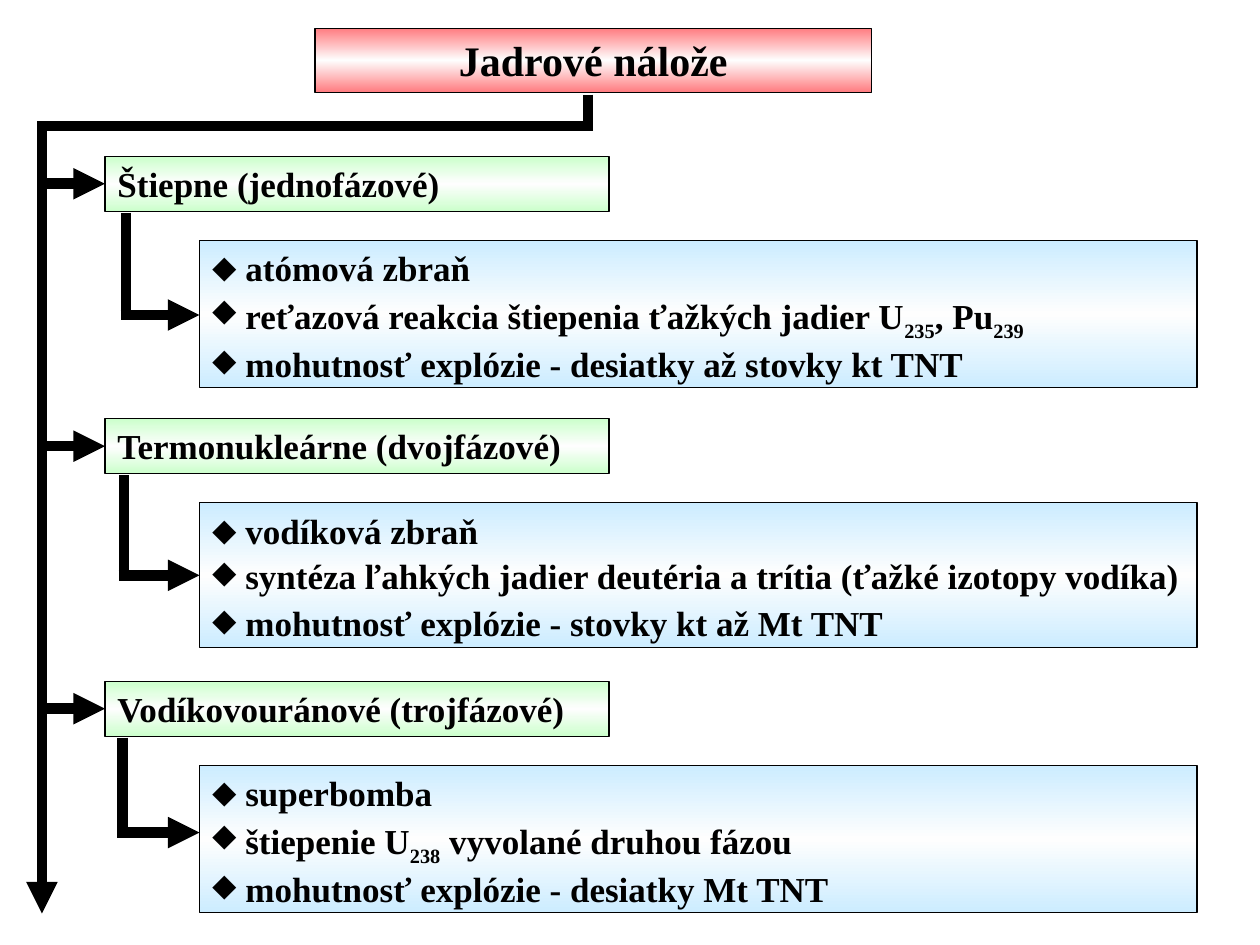
from copy import deepcopy

from lxml import etree
from pptx import Presentation
from pptx.dml.color import RGBColor
from pptx.enum.shapes import MSO_CONNECTOR, MSO_SHAPE
from pptx.enum.text import MSO_ANCHOR, MSO_AUTO_SIZE, PP_ALIGN
from pptx.oxml.ns import qn
from pptx.util import Pt

RECTANGLE = MSO_SHAPE.RECTANGLE
STRAIGHT = MSO_CONNECTOR.STRAIGHT
TOP = MSO_ANCHOR.TOP
NO_AUTOFIT = MSO_AUTO_SIZE.NONE
LEFT, CENTER = PP_ALIGN.LEFT, PP_ALIGN.CENTER

BLACK = RGBColor(0x00, 0x00, 0x00)
NEAR_WHITE = RGBColor(0xFE, 0xFE, 0xFE)
RED = RGBColor(0xFF, 0x7C, 0x80)
GREEN = RGBColor(0xCC, 0xFF, 0xCC)
BLUE = RGBColor(0xCC, 0xEC, 0xFF)

COMPARISON_LAYOUT = 4
TRUNK_X = 24
TRUNK_TOP = 72
GROUP_TOP = 89.25
GROUP_STEP = 150

# Category, height of its list, elbow position (x, y), list items;
# the text between bars is subscript
CATEGORIES = [
    ("Štiepne (jednofázové)", 84.25, 72, 180, [
        "atómová zbraň",
        "reťazová reakcia štiepenia ťažkých jadier U|235|, Pu|239|",
        "mohutnosť explózie - desiatky až stovky kt TNT"]),
    ("Termonukleárne (dvojfázové)", 82.75, 70.75, 328.75, [
        "vodíková zbraň",
        "syntéza ľahkých jadier deutéria a trítia (ťažké izotopy vodíka)",
        "mohutnosť explózie - stovky kt až Mt TNT"]),
    ("Vodíkovouránové (trojfázové)", 84.25, 70, 475.75, [
        "superbomba",
        "štiepenie U|238| vyvolané druhou fázou",
        "mohutnosť explózie - desiatky Mt TNT"]),
]


class Diagram:
    font_name = "Times New Roman"
    bullet_font = "Arial"
    bullet = "⬥"
    bullet_indent = 19
    title_size = 24
    text_size = 20
    border_width = 0.75
    arrow_width = 6

    def __init__(self, slide):
        self.slide = slide

    def style_box(self, box, left, top, width, height, color):
        box.left, box.top = Pt(left), Pt(top)
        box.width, box.height = Pt(width), Pt(height)
        box.shadow.inherit = False
        # Vertical gradient with a light middle stop
        box.fill.gradient()
        box.fill.gradient_angle = 90
        stops = next(box._element.iter(qn("a:gsLst")))
        stops.insert(1, deepcopy(stops[0]))
        colors = (color, NEAR_WHITE, color)
        for stop, position, rgb in zip(box.fill.gradient_stops, (0, 0.5, 1), colors):
            stop.position = position
            stop.color.rgb = rgb
        box.line.color.rgb = BLACK
        box.line.width = Pt(self.border_width)
        frame = box.text_frame
        frame.word_wrap = True
        frame.auto_size = NO_AUTOFIT
        frame.vertical_anchor = TOP
        frame.margin_left = frame.margin_right = Pt(7.2)
        frame.margin_top = frame.margin_bottom = Pt(3.6)

    def style_paragraph(self, paragraph, size, align=LEFT):
        paragraph.alignment = align
        for run in paragraph.runs:
            run.font.name = self.font_name
            run.font.size = Pt(size)
            run.font.bold = True
            run.font.color.rgb = BLACK

    def title(self, text, left, top, width, height):
        box = self.slide.shapes.title
        self.style_box(box, left, top, width, height, RED)
        box.text_frame.text = text
        paragraph = box.text_frame.paragraphs[0]
        paragraph.space_before = Pt(0)
        self.style_paragraph(paragraph, self.title_size, CENTER)

    def heading(self, text, left, top, width, height):
        box = self.slide.shapes.add_shape(
            RECTANGLE, Pt(left), Pt(top), Pt(width), Pt(height))
        self.style_box(box, left, top, width, height, GREEN)
        box.text_frame.text = text
        self.style_paragraph(box.text_frame.paragraphs[0], self.text_size)

    def bullet_list(self, box, items, left, top, width, height):
        self.style_box(box, left, top, width, height, BLUE)
        frame = box.text_frame
        for number, item in enumerate(items):
            paragraph = frame.add_paragraph() if number else frame.paragraphs[0]
            self.add_bullet(paragraph)
            paragraph.space_before = Pt(12.5 if number else 0)
            paragraph.space_after = Pt(2.5 if number else 0)
            paragraph.line_spacing = 0.5 if number else 1.0
            for index, part in enumerate(item.split("|")):
                if not part:
                    continue
                run = paragraph.add_run()
                run.text = part
                if index % 2:
                    run._r.get_or_add_rPr().set("baseline", "-25000")
            self.style_paragraph(paragraph, self.text_size)

    def add_bullet(self, paragraph):
        properties = paragraph._p.get_or_add_pPr()
        properties.set("marL", str(Pt(self.bullet_indent)))
        properties.set("indent", str(-Pt(self.bullet_indent)))
        etree.SubElement(properties, qn("a:buFont"), typeface=self.bullet_font)
        etree.SubElement(properties, qn("a:buChar"), char=self.bullet)

    def line(self, x1, y1, x2, y2, arrow=False):
        connector = self.slide.shapes.add_connector(
            STRAIGHT, Pt(x1), Pt(y1), Pt(x2), Pt(y2))
        connector.line.color.rgb = BLACK
        connector.line.width = Pt(self.arrow_width)
        if arrow:
            etree.SubElement(connector.line._get_or_add_ln(), qn("a:tailEnd"),
                             type="triangle")
        etree.SubElement(connector._element.spPr, qn("a:effectLst"))


def main():
    presentation = Presentation()
    presentation.slide_width, presentation.slide_height = Pt(720), Pt(540)
    slide = presentation.slides.add_slide(
        presentation.slide_layouts[COMPARISON_LAYOUT])
    diagram = Diagram(slide)
    _, *list_boxes, unused_box = slide.placeholders
    unused_box._element.getparent().remove(unused_box._element)

    # Title and the trunk leading down from it
    diagram.title("Jadrové nálože", 180, 16.25, 318, 36.5)
    diagram.line(336, 54, 336, TRUNK_TOP)
    diagram.line(339, TRUNK_TOP, 21, TRUNK_TOP)
    diagram.line(TRUNK_X, TRUNK_TOP, TRUNK_X, 522, arrow=True)

    # Categories, each with its list and arrows
    for number, (category, list_height, elbow_x, elbow_y, items) in enumerate(CATEGORIES):
        top = GROUP_TOP + number * GROUP_STEP
        diagram.heading(category, 60, top, 288, 31.5)
        diagram.bullet_list(list_boxes[number], items, 114, top + 48, 570, list_height)
        diagram.line(TRUNK_X, top + 15.75, 60, top + 15.75, arrow=True)
        diagram.line(elbow_x, top + 32.25, elbow_x, elbow_y + 1.5)
        diagram.line(elbow_x - 3, elbow_y, 114, elbow_y, arrow=True)

    presentation.save("out.pptx")


if __name__ == "__main__":
    main()
